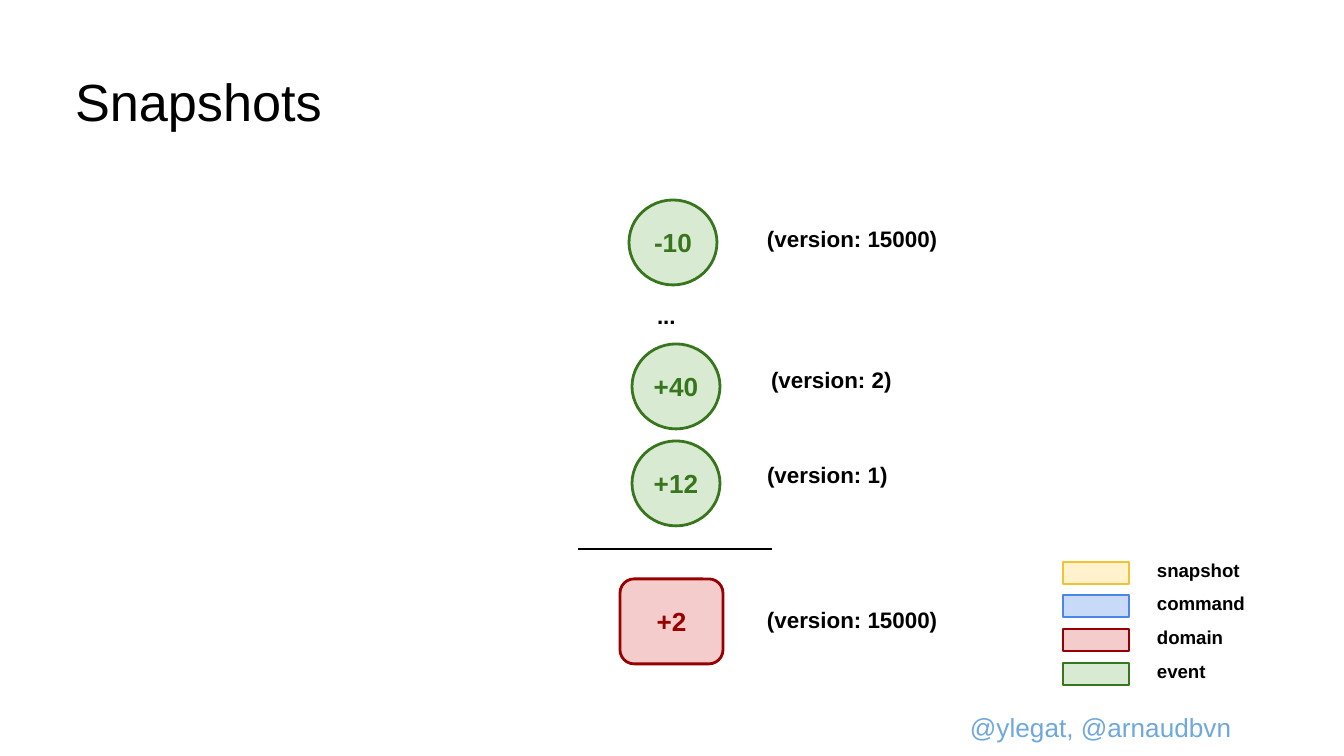
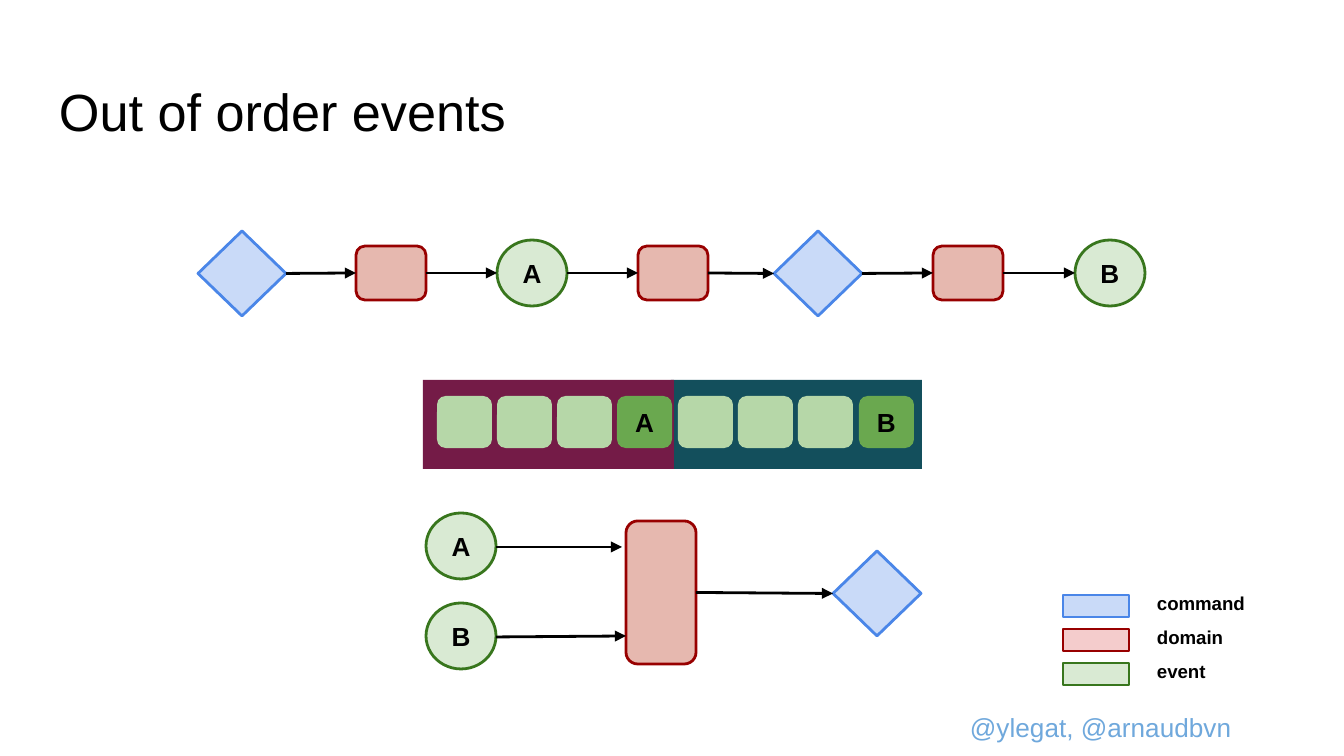
from dataclasses import dataclass

from lxml import etree
from pptx import Presentation
from pptx import util as u
from pptx.dml.color import RGBColor
from pptx.enum import shapes, text
from pptx.oxml import ns

PX = 914400 / 134.4


@dataclass(frozen=True)
class Theme:
    font: str = "Arial"
    ink: str = "000000"
    author: str = "6FA8DC"
    title_pt: int = 28
    node_pt: int = 14
    version_pt: int = 12
    legend_pt: int = 10
    line_pt: float = 1.5
    swatch_pt: float = 0.75
    inset: int = 13


THEME = Theme()
SHAPE = shapes.MSO_SHAPE
TOP, MIDDLE = text.MSO_ANCHOR.TOP, text.MSO_ANCHOR.MIDDLE
LEFT, CENTER = text.PP_ALIGN.LEFT, text.PP_ALIGN.CENTER

# Roles: (fill, outline)
ROLES = {
    "snapshot": ("FFF2CC", "F1C232"),
    "command": ("C9DAF8", "4A86E8"),
    "domain": ("F4CCCC", "980000"),
    "event": ("D9EAD3", "38761D"),
    "handler": ("E6B8AF", "980000"),
    "past": ("B6D7A8", None),
    "latest": ("6AA84F", None),
    "first stream": ("741B47", None),
    "second stream": ("134F5C", None),
}
LEGEND = ["snapshot", "command", "domain", "event"]
AUTHORS = "@ylegat, @arnaudbvn"

# Slide 1: circles as (label, left, top), texts as (text, box)
SNAPSHOT_TITLE = ("Snapshots", (62, 56, 915, 85))
AMOUNTS = [("-10", 629, 200), ("+40", 632, 344), ("+12", 632, 441)]
TOTAL = ("+2", (620, 579, 103, 85))
SUM_LINE = ((578, 549), (772, 549))
VERSIONS = [
    ("(version: 15000)", (754, 212, 218, 68)),
    ("...", (644, 289, 110, 55)),
    ("(version: 2)", (758, 353, 152, 55)),
    ("(version: 1)", (754, 448, 152, 55)),
    ("(version: 15000)", (754, 593, 234, 58)),
]

# Slide 2: flow steps as (role, label, left)
ORDER_TITLE = ("Out of order events", (46, 66, 1253, 85))
FLOW = [
    ("command", "", 198), ("handler", "", 356), ("event", "A", 497),
    ("handler", "", 638), ("command", "", 774), ("handler", "", 933),
    ("event", "B", 1075),
]
FLOW_MIDDLE = 273
STEP_SIZES = {"command": (88, 85), "handler": (70, 54), "event": (70, 66)}
STEP_SHAPES = {"command": SHAPE.DIAMOND, "handler": SHAPE.ROUNDED_RECTANGLE,
               "event": SHAPE.OVAL}
STREAMS = [("second stream", 671), ("first stream", 423)]
STORED = ["", "", "", "A", "", "", "", "B"]
INPUTS = [("A", 513, (622, 547)), ("B", 603, (626, 636))]
RECEIVER = (626, 521, 70, 143)
RESULT = (833, 551)


def emu(*lengths):
    return [round(n * PX) for n in lengths]


def write(frame, words, size, color=THEME.ink, bold=True,
          align=LEFT, anchor=TOP, inset=THEME.inset):
    margin, = emu(inset)
    layout = {"word_wrap": True, "auto_size": text.MSO_AUTO_SIZE.NONE,
              "vertical_anchor": anchor}
    layout.update({f"margin_{side}": margin
                   for side in ("left", "top", "right", "bottom")})
    for name, value in layout.items():
        setattr(frame, name, value)
    line = frame.paragraphs[0]
    line.alignment = align
    run = line.add_run()
    run.text = words
    style = {"name": THEME.font, "size": u.Pt(size), "bold": bold}
    for name, value in style.items():
        setattr(run.font, name, value)
    run.font.color.rgb = RGBColor.from_string(color)


def add_text(slide, words, box, size, **style):
    write(slide.shapes.add_textbox(*emu(*box)).text_frame, words, size, **style)


def add_node(slide, outline, role, box, label="", color=THEME.ink,
             width=THEME.line_pt):
    node = slide.shapes.add_shape(outline, *emu(*box))
    node.shadow.inherit = False
    fill, edge = ROLES[role]
    node.fill.solid()
    node.fill.fore_color.rgb = RGBColor.from_string(fill)
    if edge:
        node.line.color.rgb = RGBColor.from_string(edge)
        node.line.width = u.Pt(width)
    else:
        node.line.fill.background()
    if label:
        write(node.text_frame, label, THEME.node_pt, color,
              align=CENTER, anchor=MIDDLE, inset=0)
    return node


def add_step(slide, role, left, top, label=""):
    return add_node(slide, STEP_SHAPES[role], role,
                    (left, top, *STEP_SIZES[role]), label)


def add_line(slide, start, end, arrow=True):
    line = slide.shapes.add_connector(shapes.MSO_CONNECTOR.STRAIGHT,
                                      *emu(*start, *end))
    line.line.color.rgb = RGBColor.from_string(THEME.ink)
    line.line.width = u.Pt(THEME.line_pt)
    if arrow:
        etree.SubElement(line.line._get_or_add_ln(), ns.qn("a:tailEnd"),
                         type="triangle")
    etree.SubElement(line._element.spPr, ns.qn("a:effectLst"))
    return line


def link(slide, source, target):
    """Join the right side of source to the left side of target."""
    ends = [(x / PX, (node.top + node.height / 2) / PX) for node, x in
            ((source, source.left + source.width), (target, target.left))]
    line = add_line(slide, *ends)
    if source.auto_shape_type != SHAPE.OVAL:
        line.begin_connect(source, 3)
    if target.auto_shape_type != SHAPE.OVAL:
        line.end_connect(target, 1)


def start_slide(deck, title, roles):
    slide = deck.slides.add_slide(deck.slide_layouts[5])
    words, box = title
    heading = slide.shapes.title
    for name, value in zip(("left", "top", "width", "height"), emu(*box)):
        setattr(heading, name, value)
    write(heading.text_frame, words, THEME.title_pt, bold=False)

    # Legend rows keep the same place on every slide
    for role in roles:
        top = 562 + 101 * LEGEND.index(role) // 3
        add_node(slide, SHAPE.RECTANGLE, role, (1063, top, 66, 22),
                 width=THEME.swatch_pt)
        add_text(slide, role, (1144, top - 16, 136, 55), THEME.legend_pt)
    add_text(slide, AUTHORS, (957, 698, 296, 58), THEME.node_pt,
             color=THEME.author, bold=False)
    return slide


def build_snapshots(deck):
    slide = start_slide(deck, SNAPSHOT_TITLE, LEGEND)
    for amount, left, top in AMOUNTS:
        add_node(slide, SHAPE.OVAL, "event", (left, top, 88, 85), amount,
                 ROLES["event"][1])
    add_line(slide, *SUM_LINE, arrow=False)
    total, box = TOTAL
    add_node(slide, SHAPE.ROUNDED_RECTANGLE, "domain", box, total,
             ROLES["domain"][1])
    for version, box in VERSIONS:
        add_text(slide, version, box, THEME.version_pt)


def build_out_of_order(deck):
    slide = start_slide(deck, ORDER_TITLE, LEGEND[1:])

    # Chain of steps
    steps = [add_step(slide, role, left,
                      FLOW_MIDDLE - STEP_SIZES[role][1] // 2, label)
             for role, label, left in FLOW]
    for source, target in zip(steps, steps[1:]):
        link(slide, source, target)

    # Event store
    for stream, left in STREAMS:
        add_node(slide, SHAPE.RECTANGLE, stream, (left, 380, 251, 89))
    for i, label in enumerate(STORED):
        add_node(slide, SHAPE.ROUNDED_RECTANGLE, "latest" if label else "past",
                 (437 + 422 * i // 7, 396, 55, 52), label)

    # Events received together
    receiver = add_node(slide, SHAPE.ROUNDED_RECTANGLE, "handler", RECEIVER)
    for label, top, end in INPUTS:
        add_step(slide, "event", 426, top, label)
        add_line(slide, (496, top + 34), end)
    link(slide, receiver, add_step(slide, "command", *RESULT))


def main():
    deck = Presentation()
    deck.slide_width, deck.slide_height = emu(1344, 756)
    build_snapshots(deck)
    build_out_of_order(deck)
    deck.save("out.pptx")


if __name__ == "__main__":
    main()
